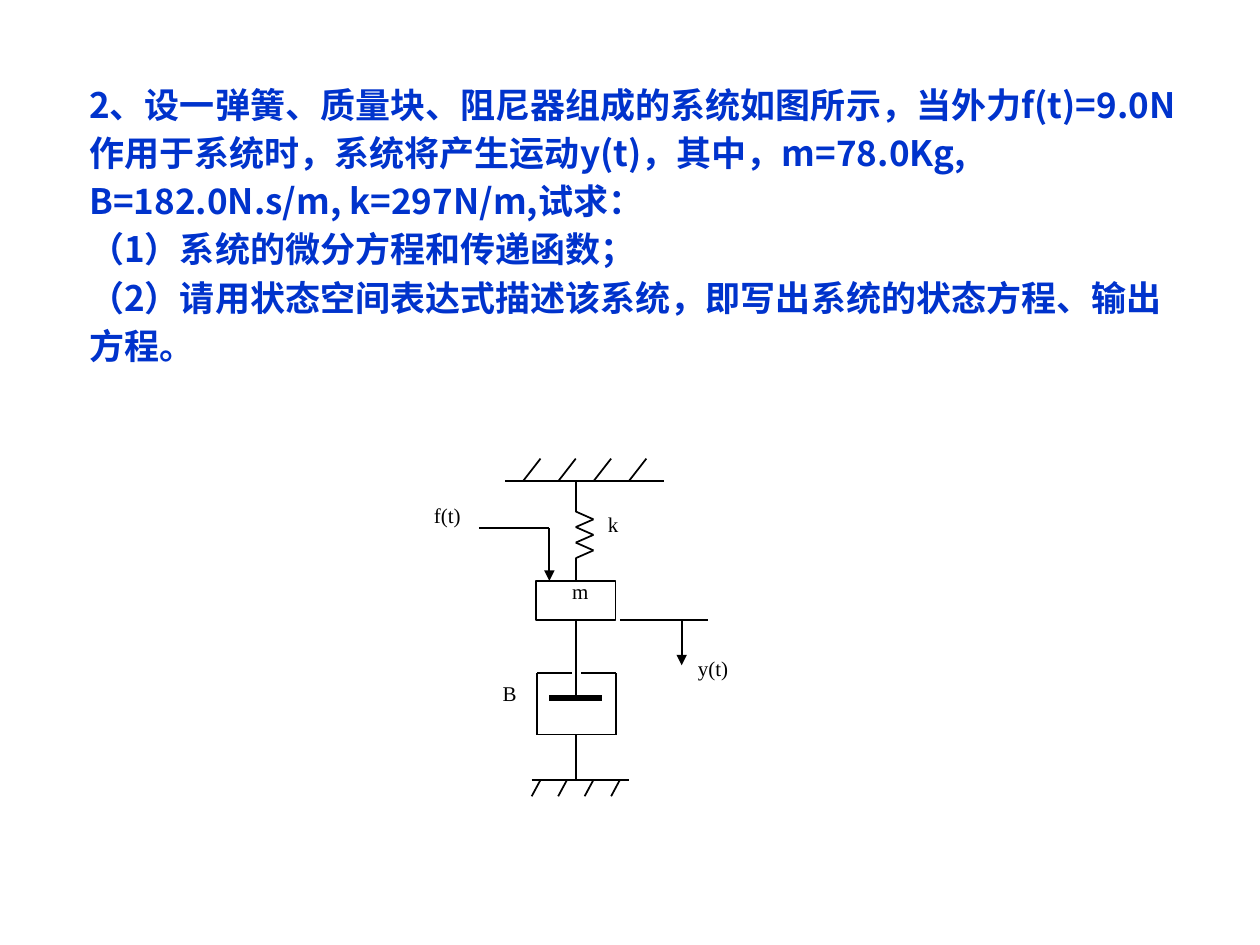
"""Build a slide with a spring, mass and damper exercise and its diagram."""
import itertools

import lxml.etree
import pptx
import pptx.dml.color
import pptx.enum.shapes
import pptx.enum.text
import pptx.oxml.ns
import pptx.util

Inches = pptx.util.Inches
BLACK = pptx.dml.color.RGBColor(0x00, 0x00, 0x00)
BLUE = pptx.dml.color.RGBColor(0x00, 0x33, 0xCC)
QUESTION = (
    "2、设一弹簧、质量块、阻尼器组成的系统如图所示，当外力f(t)=9.0N作用于系统时，"
    "系统将产生运动y(t)，其中，m=78.0Kg, B=182.0N.s/m, k=297N/m,试求：",
    "（1）系统的微分方程和传递函数；",
    "（2）请用状态空间表达式描述该系统，即写出系统的状态方程、输出方程。",
)
LABELS = (
    ("k", 4.62, 4.06, 0.49, 0.31, 0),
    ("f(t)", 3.2, 3.99, 0.7, 0.32, 0),
    ("m", 4.36, 4.55, 0.49, 0.32, 0.04),
    ("B", 3.8, 5.4, 0.49, 0.32, 0),
    ("y(t)", 5.31, 5.16, 0.7, 0.49, 0.04),
)


def add_child(parent, tag, **attributes):
    return lxml.etree.SubElement(parent, pptx.oxml.ns.qn(tag), **attributes)


def write_text(para, text, *, font, size, color, bold=False,
               align=pptx.enum.text.PP_ALIGN.LEFT, spacing=1.0):
    para.alignment = align
    para.line_spacing = spacing
    span = para.add_run()
    span.text = text
    span.font.name = font
    span.font.size = pptx.util.Pt(size)
    span.font.bold = bold
    span.font.color.rgb = color
    add_child(span.font._element, "a:ea", typeface=font)


class Sketch:
    def __init__(self, page, color=BLACK, weight=1):
        self.page = page
        self.color = color
        self.weight = weight

    def line(self, start, end, weight=None, arrow=False):
        connector = self.page.shapes.add_connector(
            pptx.enum.shapes.MSO_CONNECTOR.STRAIGHT,
            *(Inches(value) for value in (*start, *end)))
        connector.line.color.rgb = self.color
        connector.line.width = pptx.util.Pt(weight or self.weight)
        if arrow:
            add_child(connector.line._get_or_add_ln(), "a:tailEnd", type="triangle")
        add_child(connector._element.spPr, "a:effectLst")
        return connector

    def chain(self, points):
        for start, end in itertools.pairwise(points):
            self.line(start, end)

    def hatch(self, first, top, bottom, lean, step):
        for index in range(4):
            foot = first + index * step
            self.line((foot + lean, top), (foot, bottom))

    def block(self, left, top, width, height):
        block = self.page.shapes.add_shape(
            pptx.enum.shapes.MSO_SHAPE.RECTANGLE,
            *(Inches(value) for value in (left, top, width, height)))
        block.shadow.inherit = False
        block.fill.background()
        block.line.color.rgb = self.color
        block.line.width = pptx.util.Pt(self.weight)
        return block

    def text(self, paragraphs, left, top, width, height, side, edge, **style):
        box = self.page.shapes.add_textbox(
            *(Inches(value) for value in (left, top, width, height)))
        frame = box.text_frame
        frame.word_wrap = True
        frame.margin_left = frame.margin_right = Inches(side)
        frame.margin_top = frame.margin_bottom = Inches(edge)
        for index, text in enumerate(paragraphs):
            para = frame.add_paragraph() if index else frame.paragraphs[0]
            write_text(para, text, **style)


def draw_system(sketch):
    axis, ceiling, floor = 4.57, 3.82, 6.19
    mass_top, mass_bottom, mass_width = 4.61, 4.92, 0.63
    cup_left, cup_right, cup_top, cup_bottom = 4.26, 4.89, 5.34, 5.83
    spring_top, spring_bottom = 4.06, 4.43

    sketch.line((4.01, ceiling), (5.27, ceiling))
    sketch.hatch(4.15, 3.64, ceiling, 0.14, 0.28)
    sketch.line((axis, ceiling), (axis, spring_top))
    turn = (spring_bottom - spring_top) / 6
    sketch.chain([(axis + 0.14 * (index % 2), spring_top + index * turn)
                  for index in range(7)])

    mass = sketch.block(axis - mass_width / 2, mass_top, mass_width, mass_bottom - mass_top)
    sketch.line((axis, spring_bottom), (axis, mass_top)).end_connect(mass, 0)
    sketch.line((axis, mass_bottom), (axis, 5.53)).begin_connect(mass, 2)

    sketch.line((4.36, 5.54), (4.78, 5.54), weight=3)
    sketch.chain([(4.54, cup_top), (cup_left, cup_top), (cup_left, cup_bottom),
                  (cup_right, cup_bottom), (cup_right, cup_top), (4.61, cup_top)])
    sketch.line((axis, cup_bottom), (axis, floor))
    sketch.line((4.22, floor), (4.99, floor))
    sketch.hatch(4.22, floor, 6.32, 0.07, 0.21)

    sketch.line((mass_bottom, mass_bottom), (5.62, mass_bottom))
    sketch.line((5.41, mass_bottom), (5.41, 5.28), arrow=True)
    sketch.line((3.8, 4.19), (4.36, 4.19))
    sketch.line((4.36, 4.19), (4.36, mass_top), arrow=True)


def main():
    deck = pptx.Presentation()
    deck.slide_width, deck.slide_height = Inches(10), Inches(7.5)
    sketch = Sketch(deck.slides.add_slide(deck.slide_layouts[6]))
    sketch.text(QUESTION, 0.61, 0.56, 8.9, 2.4, 0.1, 0.05,
                font="Noto Sans CJK SC", size=20, color=BLUE, bold=True, spacing=1.15)
    draw_system(sketch)
    for text, left, top, width, height, edge in LABELS:
        sketch.text([text], left, top, width, height, 0.09, edge,
                    font="Times New Roman", size=12, color=BLACK,
                    align=pptx.enum.text.PP_ALIGN.CENTER)
    deck.save("out.pptx")


if __name__ == "__main__":
    main()
